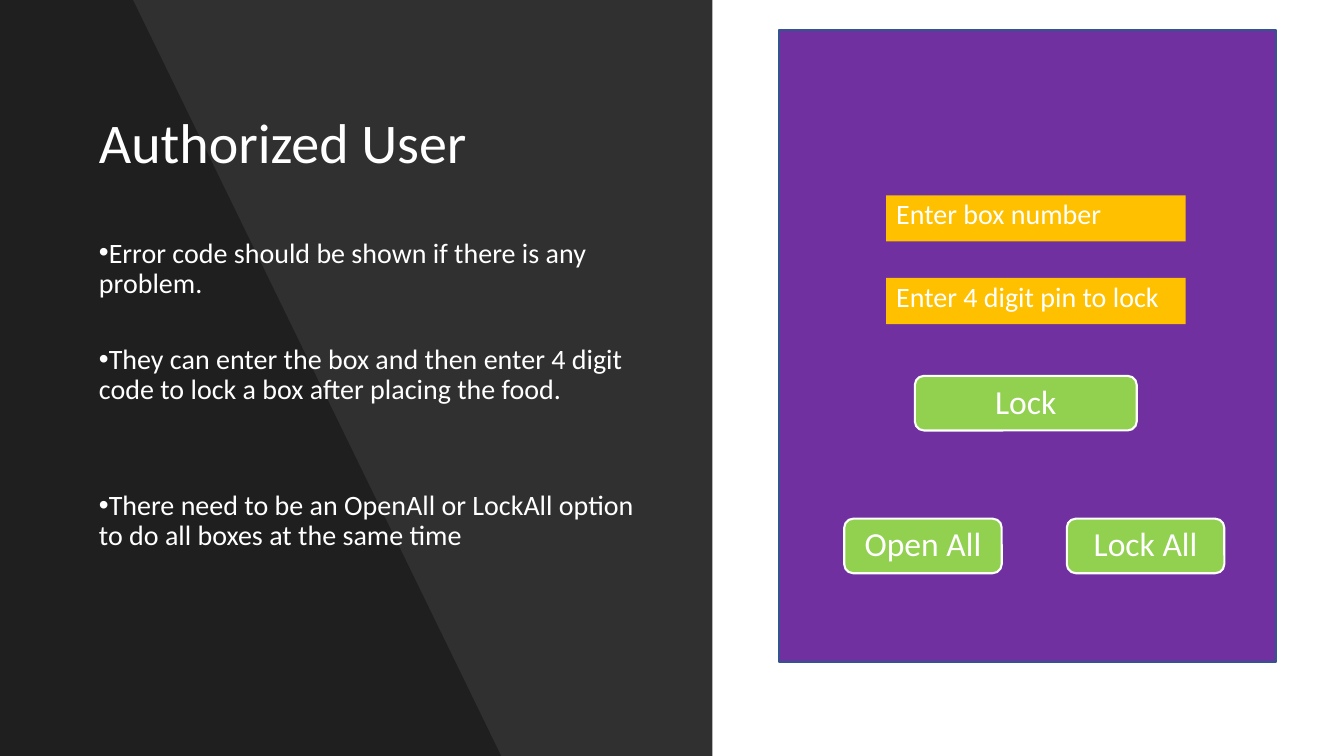
from lxml import etree
from pptx import Presentation
from pptx.dml.color import RGBColor
from pptx.enum.shapes import MSO_SHAPE
from pptx.enum.text import MSO_ANCHOR, MSO_AUTO_SIZE, PP_ALIGN
from pptx.oxml.ns import qn
from pptx.util import Pt

RECT, ROUNDED = MSO_SHAPE.RECTANGLE, MSO_SHAPE.ROUNDED_RECTANGLE
LEFT, CENTER = PP_ALIGN.LEFT, PP_ALIGN.CENTER
TOP, MIDDLE = MSO_ANCHOR.TOP, MSO_ANCHOR.MIDDLE
FIXED = MSO_AUTO_SIZE.NONE
FONT = "Calibri"
COLORS = {
    "black": "000000",
    "white": "FFFFFF",
    "panel": "7030A0",
    "panel_edge": "325491",
    "field": "FFC000",
    "button": "92D050",
}
WIDTH, HEIGHT = 960, 540

# Each requirement with the gap below it
REQUIREMENTS = [
    ("Error code should be shown if there is any problem.", 33),
    ("They can enter the box and then enter 4 digit code to lock a box after placing the food.", 61),
    ("There need to be an OpenAll or LockAll option to do all boxes at the same time", 6),
]
# Label, left and top within the panel
FIELDS = [("Enter box number", 76.5, 118), ("Enter 4 digit pin to lock", 76.5, 177)]
# Label, left, top and width within the panel
BUTTONS = [("Lock", 97, 247, 158.5), ("Open All", 46.5, 349, 112.5), ("Lock All", 205.5, 349, 112.5)]


def color(name):
    return RGBColor.from_string(COLORS[name])


def paint(shape, fill, opacity=100, edge=None, edge_width=1):
    shape.shadow.inherit = False
    shape.fill.solid()
    shape.fill.fore_color.rgb = color(fill)
    if opacity < 100:
        tone = shape.fill._xPr.find(qn("a:solidFill"))[0]
        etree.SubElement(tone, qn("a:alpha")).set("val", str(opacity * 1000))
    if edge:
        shape.line.color.rgb = color(edge)
        shape.line.width = Pt(edge_width)
    else:
        shape.line.fill.background()


def add_block(shapes, kind, box, fill, **style):
    shape = shapes.add_shape(kind, *map(Pt, box))
    paint(shape, fill, **style)
    return shape


def format_para(para, size, align=LEFT, gap=6):
    para.alignment = align
    para.line_spacing = 0.9
    para.space_before = Pt(0)
    para.space_after = Pt(gap)
    for span in para.runs:
        span.font.name = FONT
        span.font.size = Pt(size)
        span.font.color.rgb = color("white")


def write(shape, text, size, align=LEFT, anchor=TOP):
    frame = shape.text_frame
    frame.text = text
    frame.word_wrap = True
    frame.auto_size = FIXED
    frame.vertical_anchor = anchor
    format_para(frame.paragraphs[0], size, align)


def add_bullet(para):
    props = para._p.get_or_add_pPr()
    props.set("marL", "0")
    props.set("indent", str(-Pt(18)))
    etree.SubElement(props, qn("a:buFont")).set("typeface", "Arial")
    etree.SubElement(props, qn("a:buChar")).set("char", "•")


def place(shape, left, top, width, height):
    shape.left, shape.top, shape.width, shape.height = map(Pt, (left, top, width, height))


def add_backdrop(page, left, top, width, height):
    """White page with a dark left side and a darker slanted band."""
    page.background.fill.solid()
    page.background.fill.fore_color.rgb = color("black")
    add_block(page.shapes, RECT, (left, top, width, height), "white")
    add_block(page.shapes, RECT, (left, top, 509, height), "black", opacity=81)
    outline = page.shapes.build_freeform(Pt(left), Pt(top))
    corners = [(95, 0), (358, height), (0, height)]
    outline.add_line_segments([(Pt(left + x), Pt(top + y)) for x, y in corners])
    paint(outline.convert_to_shape(), "black", opacity=35)


def add_description(page, left, top, width, height):
    """Title above the list of requirements."""
    title, body = page.placeholders
    for holder in (title, body):
        page.shapes.element.append(holder.element)  # in front of the backdrop
    place(title, left, top, width, 106)
    write(title, "Authorized User", 40, anchor=MIDDLE)

    place(body, left, top + 116.5, width, height - 116.5)
    frame = body.text_frame
    frame.text = "\n".join(text for text, gap in REQUIREMENTS)
    frame.word_wrap = True
    frame.auto_size = FIXED
    frame.vertical_anchor = TOP
    for para, (text, gap) in zip(frame.paragraphs, REQUIREMENTS):
        format_para(para, 20, gap=gap)
        add_bullet(para)


def add_keypad(page, left, top, width, height):
    """Mock-up of the locking screen."""
    shapes = page.shapes.add_group_shape().shapes
    add_block(shapes, RECT, (left, top, width, height), "panel", edge="panel_edge")
    for label, x, y in FIELDS:
        field = add_block(shapes, RECT, (left + x, top + y, 214, 33), "field")
        write(field, label, 20)
    for label, x, y, button_width in BUTTONS:
        box = (left + x, top + y, button_width, 39)
        button = add_block(shapes, ROUNDED, box, "button", edge="white", edge_width=1.5)
        write(button, label, 24, CENTER, MIDDLE)


def main():
    deck = Presentation()
    deck.slide_width, deck.slide_height = Pt(WIDTH), Pt(HEIGHT)
    page = deck.slides.add_slide(deck.slide_layouts[1])
    add_backdrop(page, 0, 0, WIDTH, HEIGHT)
    add_description(page, 63.5, 50.5, 406, 414)
    add_keypad(page, 556.5, 21.5, 355, 451.5)
    deck.save("out.pptx")


if __name__ == "__main__":
    main()
